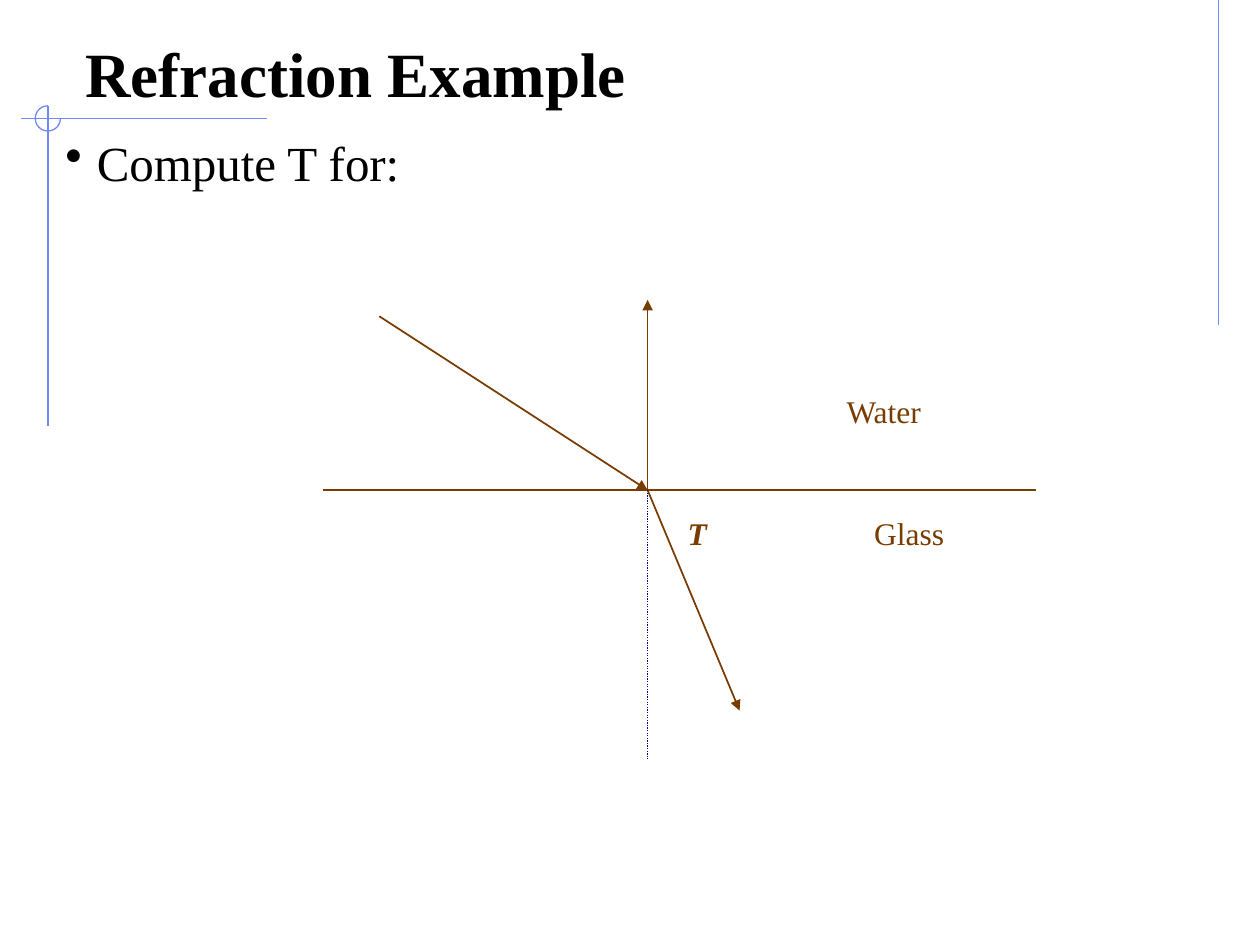
from lxml import etree
from pptx import Presentation
from pptx.dml.color import RGBColor
from pptx.enum.dml import MSO_LINE
from pptx.enum.shapes import MSO_CONNECTOR, MSO_SHAPE
from pptx.enum.text import MSO_ANCHOR
from pptx.oxml.ns import qn
from pptx.util import Inches, Pt

STRAIGHT = MSO_CONNECTOR.STRAIGHT
ARC = MSO_SHAPE.ARC
DOTTED = MSO_LINE.ROUND_DOT
TOP, BOTTOM = MSO_ANCHOR.TOP, MSO_ANCHOR.BOTTOM

BLACK = RGBColor(0x00, 0x00, 0x00)
BROWN = RGBColor(0x78, 0x3C, 0x00)
NAVY = RGBColor(0x00, 0x00, 0x8C)
PERIWINKLE = RGBColor(0x6F, 0x89, 0xF7)
FONT = "Times New Roman"

prs = Presentation()
prs.slide_width, prs.slide_height = Inches(10), Inches(7.5)
slide = prs.slides.add_slide(prs.slide_layouts[6])
COLUMN = prs.slide_width / 10
ROW = prs.slide_height / 7.5


def grid(x, y):
    """Turn columns and rows into slide lengths."""
    return round(x * COLUMN), round(y * ROW)


def add_line(start, end, color, width, arrow=False):
    line = slide.shapes.add_connector(STRAIGHT, *grid(*start), *grid(*end))
    line.line.color.rgb = color
    line.line.width = Pt(width)
    if arrow:
        etree.SubElement(line.line._get_or_add_ln(), qn("a:tailEnd"), type="triangle")
    etree.SubElement(line._element.spPr, qn("a:effectLst"))
    return line


# Corner decoration: thin rules crossing at the centre of a three-quarter arc
cross_x, cross_y, radius = 0.38, 0.94, 0.1
for start, end in (
    ((9.67, 0), (9.67, 2.58)),
    ((2.12, cross_y), (0.17, cross_y)),
    ((cross_x, cross_y - radius), (cross_x, 3.38)),
):
    add_line(start, end, PERIWINKLE, 0.75)

corner_arc = slide.shapes.add_shape(
    ARC, *grid(cross_x - radius, cross_y - radius), *grid(2 * radius, 2 * radius)
)
corner_arc.adjustments[0] = 0
corner_arc.adjustments[1] = 162  # 270 degrees
corner_arc.shadow.inherit = False
corner_arc.fill.background()
corner_arc.line.color.rgb = PERIWINKLE
corner_arc.line.width = Pt(0.75)

# Rays meet where the normal crosses the water-glass boundary
hit = (5.14, 3.89)
add_line((2.56, hit[1]), (8.22, hit[1]), BROWN, 1)
for start, end in (
    (hit, (hit[0], 2.38)),
    ((3.01, 2.51), hit),
    (hit, (5.87, 5.64)),
):
    add_line(start, end, BROWN, 1, arrow=True)
inner_normal = add_line(hit, (hit[0], 6.02), NAVY, 0.75)
inner_normal.line.dash_style = DOTTED

# Wording: text, place, size, anchor, wrap, bulleted, font format
label = {"size": Pt(18)}
for wording, place, extent, anchor, wrap, bulleted, color, style in (
    ("Refraction Example", (0.58, 0.25), (8.83, 0.67), BOTTOM, True, False,
     BLACK, {"size": Pt(36), "bold": True}),
    ("Compute T for:", (0.42, 1), (9.17, 6.17), TOP, True, True,
     BLACK, {"size": Pt(28)}),
    ("Water", (6.62, 3.06), (0.81, 0.4), TOP, False, False, BROWN, label),
    ("Glass", (6.84, 4.03), (0.76, 0.4), TOP, False, False, BROWN, label),
    ("T", (5.36, 4.03), (0.51, 0.4), TOP, True, False,
     BROWN, {**label, "bold": True, "italic": True}),
):
    frame = slide.shapes.add_textbox(*grid(*place), *grid(*extent)).text_frame
    frame.word_wrap = wrap
    frame.vertical_anchor = anchor
    paragraph = frame.paragraphs[0]
    paragraph.text = wording
    if bulleted:
        properties = paragraph._p.get_or_add_pPr()
        properties.set("marL", str(Inches(0.25)))
        properties.set("indent", str(-Inches(0.25)))
        etree.SubElement(properties, qn("a:buChar"), char="•")
    font = paragraph.runs[0].font
    font.color.rgb = color
    for attribute, value in {"name": FONT, **style}.items():
        setattr(font, attribute, value)

prs.save("out.pptx")
